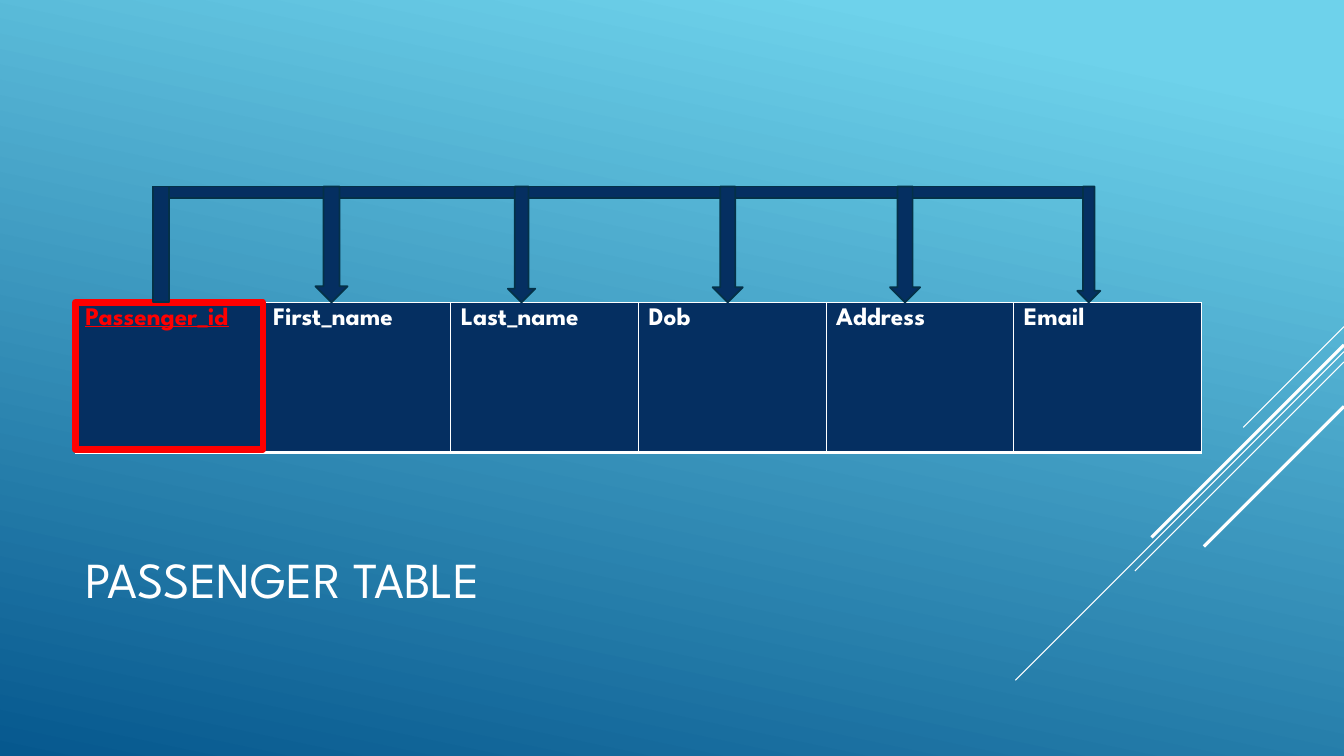
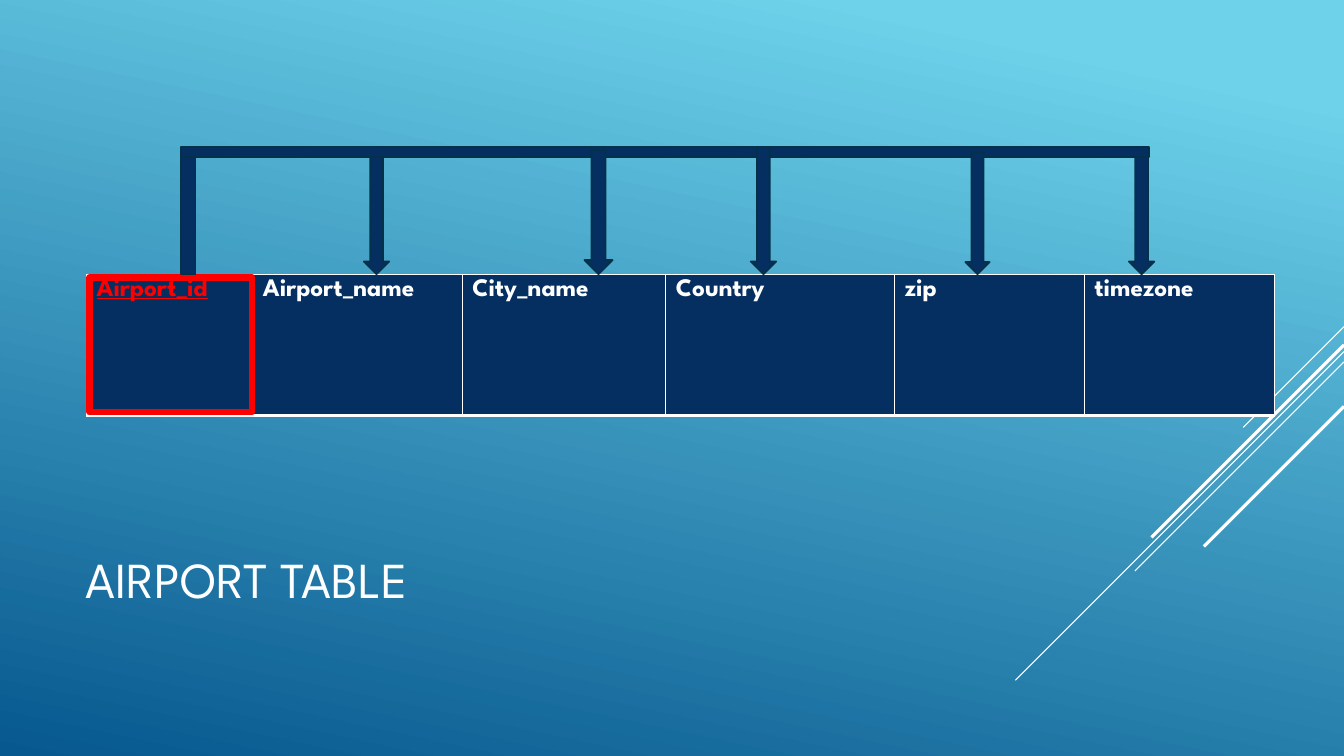
from lxml import etree
from pptx import Presentation
from pptx.dml.color import RGBColor
from pptx.enum import shapes as kinds, text as txt
from pptx.oxml import ns
from pptx.util import Cm, Pt

WHITE = RGBColor(0xFF, 0xFF, 0xFF)
RED = RGBColor(0xFF, 0x00, 0x00)
NAVY = RGBColor(0x05, 0x2F, 0x61)
EDGE = RGBColor(0x04, 0x31, 0x48)
SKY = RGBColor(0x6E, 0xD2, 0xEB)
DEEP = RGBColor(0x06, 0x58, 0x8E)
FONT = "League Spartan"
WIDE, HIGH = 33.87, 19.05
RECT, ARROW = kinds.MSO_SHAPE.RECTANGLE, kinds.MSO_SHAPE.DOWN_ARROW

# Each table: place, columns, key frame, bar, stem, arrows (left, top, width)
TABLES = [
    dict(
        title="PASSENGER TABLE",
        left=1.9, top=7.62, height=3.78,
        cols=[("Passenger_id", 4.73), ("First_name", 4.73), ("Last_name", 4.73),
              ("Dob", 4.73), ("Address", 4.73), ("Email", 4.73)],
        key=(1.9, 7.62, 4.73, 3.71),
        bar=(3.86, 4.7, 23.62, 0.3),
        stem=(3.86, 4.7, 0.41),
        arrows=[(7.95, 4.7, 0.81), (12.8, 4.7, 0.69), (17.96, 4.7, 0.76),
                (22.43, 4.7, 0.76), (27.15, 4.7, 0.58)],
    ),
    dict(
        title="AIRPORT TABLE",
        left=2.18, top=6.91, height=3.56,
        cols=[("Airport_id", 4.19), ("Airport_name", 5.28), ("City_name", 5.13),
              ("Country", 5.77), ("zip", 4.78), ("timezone", 4.78)],
        key=(2.26, 6.99, 4.09, 3.4),
        bar=(4.57, 3.71, 24.38, 0.25),
        stem=(4.57, 3.96, 0.36),
        arrows=[(9.17, 3.96, 0.64), (14.73, 3.78, 0.71), (18.92, 3.71, 0.64),
                (24.33, 3.84, 0.61), (28.45, 3.96, 0.64)],
    ),
]


def put_text(frame, words, size, color, bold=False, under=False):
    para = frame.paragraphs[0]
    para.alignment = txt.PP_ALIGN.LEFT
    run = para.add_run()
    run.text = words
    font = run.font
    font.name, font.size, font.bold, font.underline = FONT, Pt(size), bold, under
    font.color.rgb = color


def put_shape(slide, kind, box, fill, edge, width):
    shape = slide.shapes.add_shape(kind, *[Cm(n) for n in box])
    shape.shadow.inherit = False
    if fill is None:
        shape.fill.background()
    else:
        shape.fill.solid()
        shape.fill.fore_color.rgb = fill
    shape.line.color.rgb = edge
    shape.line.width = Pt(width)


deck = Presentation()
deck.slide_width, deck.slide_height = Cm(WIDE), Cm(HIGH)
layout = deck.slide_layouts[5]
master = deck.slide_master
pages = [deck.slides.add_slide(layout) for _ in TABLES]

# Shared background
back = master.background.fill
back.gradient()
back.gradient_angle = 360 - 102
for stop, (place, color) in zip(back.gradient_stops, [(0.1, SKY), (1, DEEP)]):
    stop.position = place
    stop.color.rgb = color

# Shared diagonal lines, all at 45 degrees from the right edge, kept on the master
RAYS = [(8.23, 2.54, 0.75), (8.86, 8.28, 0.75), (9.12, 5.27, 0.75),
        (8.69, 4.85, 2.25), (10.24, 3.53, 2.25)]
for num, (top, run, width) in enumerate(RAYS):
    ray = pages[0].shapes.add_connector(
        kinds.MSO_CONNECTOR.STRAIGHT, Cm(WIDE), Cm(top), Cm(WIDE - run), Cm(top + run))
    ray.line.color.rgb = WHITE
    ray.line.width = Pt(width)
    etree.SubElement(ray.element.spPr, ns.qn("a:effectLst"))
    ray.element.nvCxnSpPr.cNvPr.set("id", str(100 + num))
    master.shapes.element.append(ray.element)

for page, data in zip(pages, TABLES):
    # Title
    title = page.shapes.title
    title.left, title.top, title.width, title.height = Cm(1.9), Cm(12.47), Cm(23.7), Cm(4.19)
    title.text_frame.vertical_anchor = txt.MSO_ANCHOR.MIDDLE
    put_text(title.text_frame, data["title"], 36, WHITE)

    # Table of field names, the key first
    cols, top = data["cols"], data["top"]
    total = sum(width for _, width in cols)
    table = page.shapes.add_table(
        1, len(cols), Cm(data["left"]), Cm(top), Cm(total), Cm(data["height"])).table
    for num, (name, width) in enumerate(cols):
        table.columns[num].width = Cm(width)
        cell = table.cell(0, num)
        cell.fill.solid()
        cell.fill.fore_color.rgb = NAVY
        is_key = num == 0
        put_text(cell.text_frame, name, 18, RED if is_key else WHITE, True, is_key)
        props = cell._tc.get_or_add_tcPr()
        for pos, (side, thick) in enumerate([("L", 1), ("R", 1), ("T", 1), ("B", 3)]):
            line = etree.Element(ns.qn("a:ln" + side), w=str(Pt(thick)))
            paint = etree.SubElement(line, ns.qn("a:solidFill"))
            etree.SubElement(paint, ns.qn("a:srgbClr"), val=str(WHITE))
            props.insert(pos, line)

    # Key frame, then the bar, stem and arrows that reach down to the table
    put_shape(page, RECT, data["key"], None, RED, 4.5)
    put_shape(page, RECT, data["bar"], NAVY, EDGE, 1.25)
    drops = [(RECT, data["stem"])] + [(ARROW, arrow) for arrow in data["arrows"]]
    for kind, (x, y, width) in drops:
        put_shape(page, kind, (x, y, width, top - y), NAVY, EDGE, 1.25)

deck.save("out.pptx")
